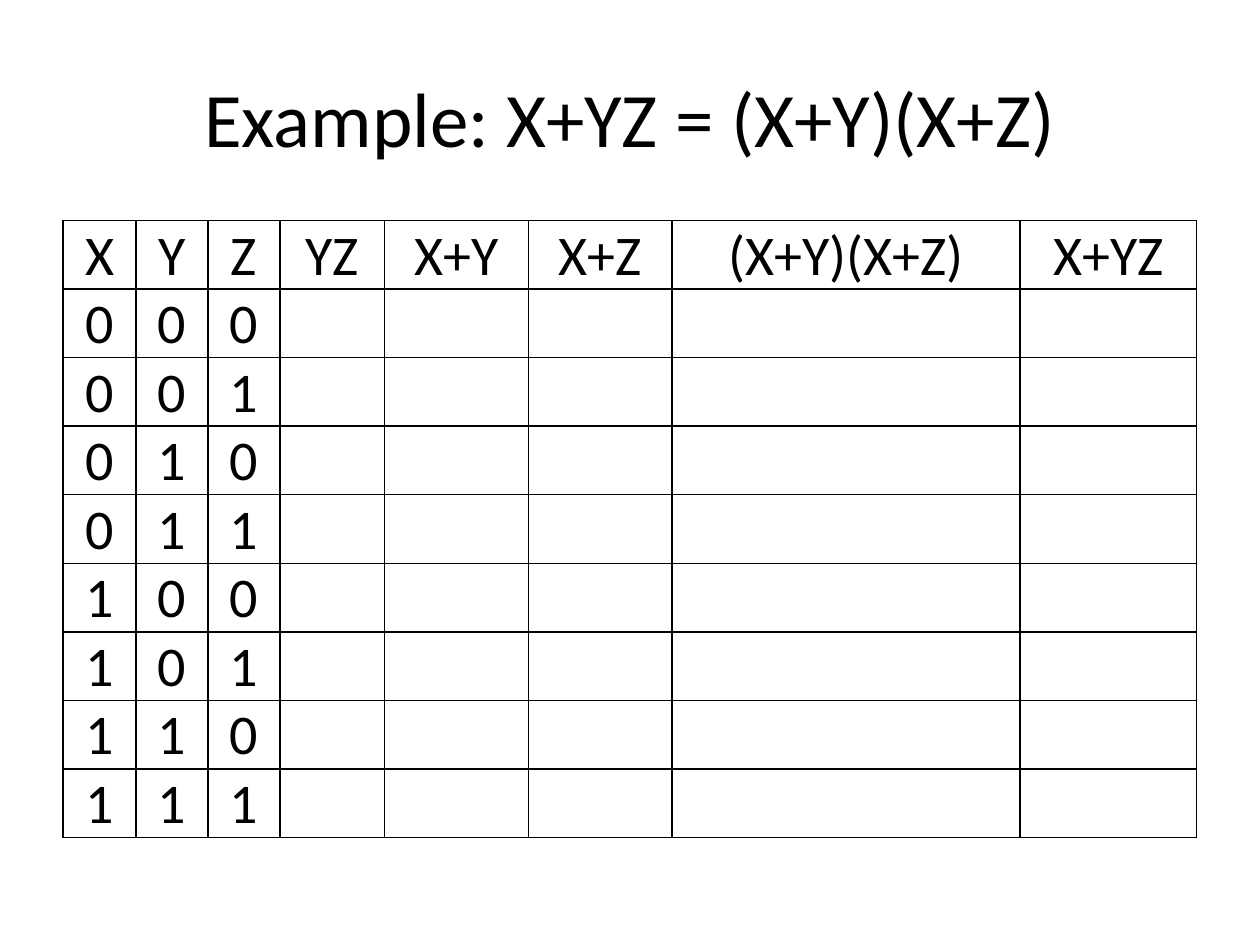
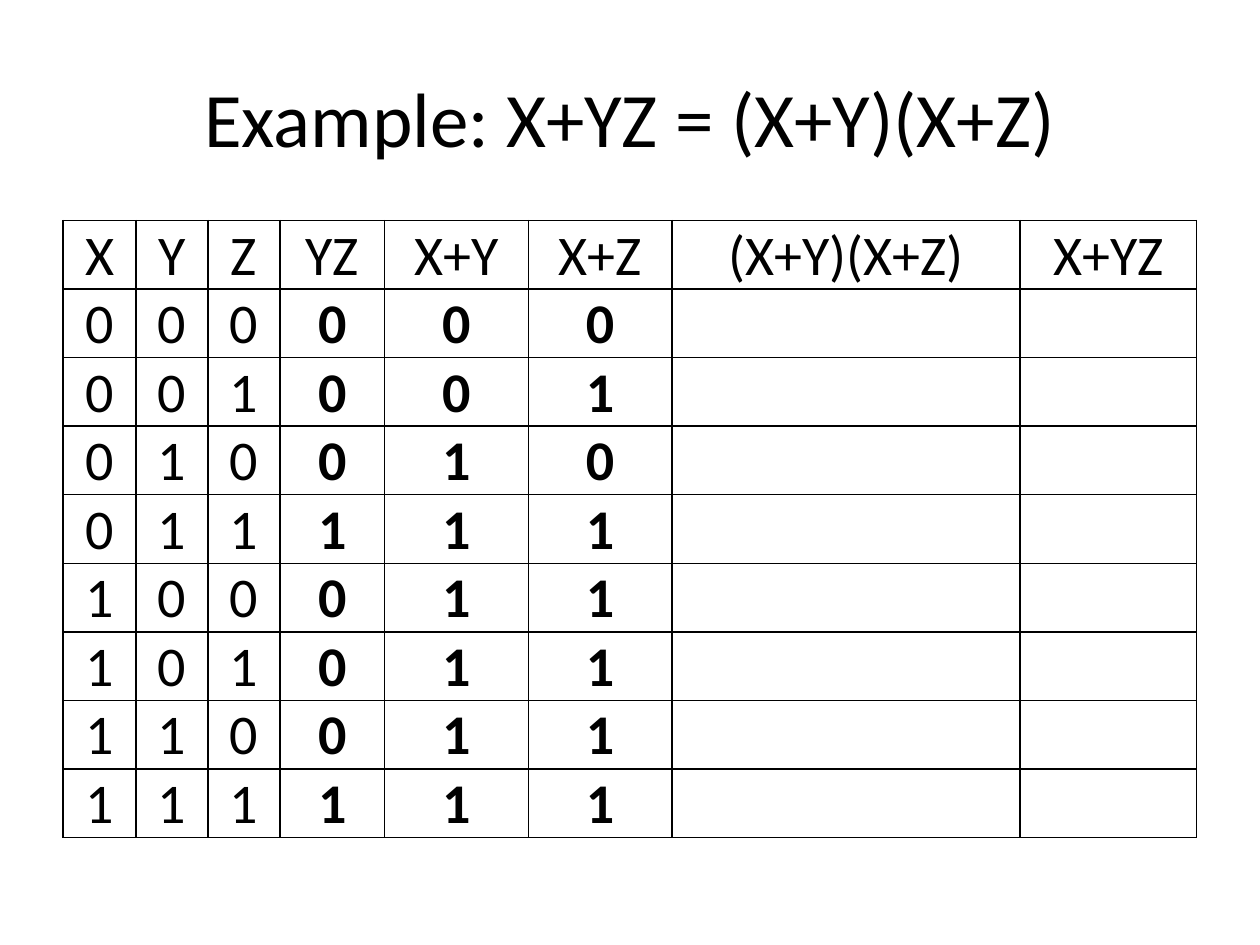
from itertools import product

from lxml import etree
from pptx import Presentation
from pptx.dml.color import RGBColor
from pptx.enum.text import MSO_ANCHOR, PP_ALIGN
from pptx.oxml.ns import qn
from pptx.util import Inches, Pt

INK = RGBColor(0x00, 0x00, 0x00)
PAPER = RGBColor(0xFF, 0xFF, 0xFF)
CENTER = PP_ALIGN.CENTER
MIDDLE = MSO_ANCHOR.MIDDLE
BOTTOM = MSO_ANCHOR.BOTTOM

TITLE = "Example: X+YZ = (X+Y)(X+Z)"
# Heading and relative width of each column
COLUMNS = {"X": 0.58, "Y": 0.57, "Z": 0.57, "YZ": 0.83, "X+Y": 1.14,
           "X+Z": 1.14, "(X+Y)(X+Z)": 2.76, "X+YZ": 1.4}


class TruthTableDeck:
    """Style, 20 by 30 grid and current slide of the deck."""

    font = "Calibri"
    title_size = 44
    cell_size = 32
    border_width = Pt(1)

    def __init__(self):
        self.deck = Presentation()
        self.deck.slide_width = Inches(10)
        self.deck.slide_height = Inches(7.5)
        self.column = self.deck.slide_width / 20
        self.row = self.deck.slide_height / 30
        self.page = None

    def area(self, left, top, width, height):
        return (round(left * self.column), round(top * self.row),
                round(width * self.column), round(height * self.row))

    def add_page(self):
        self.page = self.deck.slides.add_slide(self.deck.slide_layouts[6])
        fill = self.page.background.fill
        fill.solid()
        fill.fore_color.rgb = PAPER

    def add_text(self, para, text, size, bold=False):
        para.alignment = CENTER
        span = para.add_run()
        span.text = text
        span.font.name = self.font
        span.font.size = Pt(size)
        span.font.bold = bold
        span.font.color.rgb = INK

    def add_title(self, text):
        box = self.page.shapes.add_textbox(*self.area(1, 1.2, 18, 5))
        box.text_frame.word_wrap = True
        box.text_frame.vertical_anchor = MIDDLE
        self.add_text(box.text_frame.paragraphs[0], text, self.title_size)

    def style_cell(self, cell):
        cell.vertical_anchor = BOTTOM
        cell.margin_left = cell.margin_right = Inches(0.04)
        cell.margin_top = Inches(0.01)
        cell.margin_bottom = 0
        properties = cell._tc.get_or_add_tcPr()
        for edge in ("lnL", "lnR", "lnT", "lnB"):
            line = etree.SubElement(properties, qn(f"a:{edge}"),
                                    w=str(self.border_width))
            paint = etree.SubElement(line, qn("a:solidFill"))
            etree.SubElement(paint, qn("a:srgbClr"), val=str(INK))
        cell.fill.background()

    def add_table(self, widths, rows, bold_from):
        """Draw the rows; below the heading, columns from bold_from are bold."""
        left, top, width, height = self.area(1, 7, 18, 19.6)
        table = self.page.shapes.add_table(
            len(rows), len(widths), left, top, width, height).table
        table.first_row = table.horz_banding = False
        for column, share in zip(table.columns, widths):
            column.width = round(width * share / sum(widths))
        for r, texts in enumerate(rows):
            for c in range(len(widths)):
                cell = table.cell(r, c)
                self.style_cell(cell)
                if c < len(texts):
                    self.add_text(cell.text_frame.paragraphs[0], texts[c],
                                  self.cell_size, r > 0 and c >= bold_from)


def truth_rows(solved):
    """Heading row, then every input with its worked-out terms if solved."""
    rows = [list(COLUMNS)]
    for x, y, z in product((0, 1), repeat=3):
        terms = [y & z, x | y, x | z] if solved else []
        rows.append([str(value) for value in [x, y, z, *terms]])
    return rows


def main():
    show = TruthTableDeck()
    # Inputs only, then the first three terms filled in
    for solved in (False, True):
        show.add_page()
        show.add_title(TITLE)
        show.add_table(list(COLUMNS.values()), truth_rows(solved), bold_from=3)
    show.deck.save("out.pptx")


if __name__ == "__main__":
    main()
